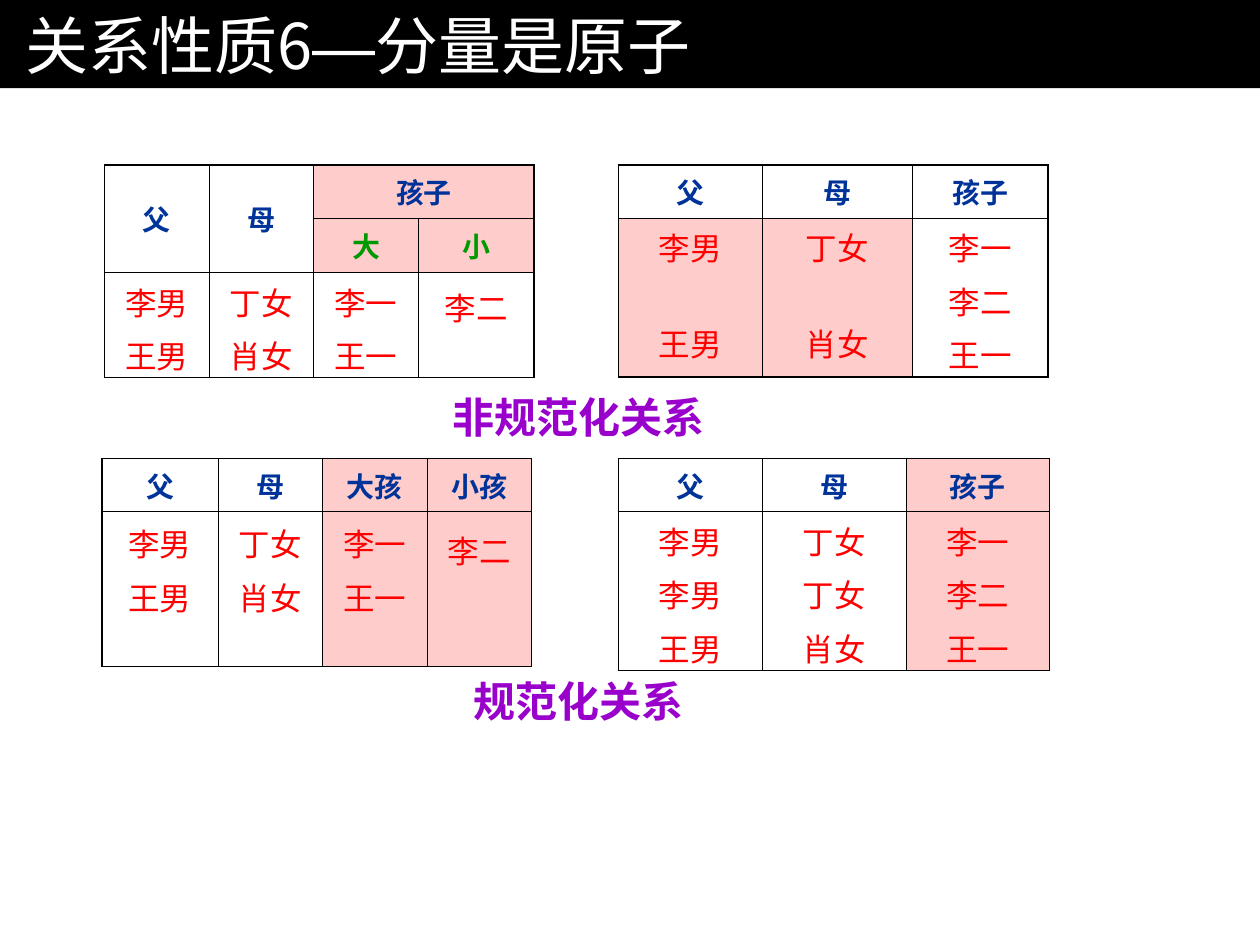
import pptx
import pptx.dml.color
import pptx.enum.text
import pptx.oxml
import pptx.oxml.ns
import pptx.util
from pptx.util import Inches

COLORS = {
    "black": "000000", "white": "FFFFFF", "pink": "FFCCCC", "header": "003399",
    "child": "009900", "value": "FF0000", "caption": "9900CC",
}
FONT = "Roboto"
TITLE_FONT = "Noto Sans CJK SC"
OUTER, INNER = 1.08, 0.45


def rgb(name):
    return pptx.dml.color.RGBColor.from_string(COLORS[name])


def add_run(paragraph, text, size, color, bold=False, font=FONT):
    run = paragraph.add_run()
    run.text = text
    run.font.size = pptx.util.Pt(size)
    run.font.bold = bold
    run.font.name = font
    run.font.color.rgb = rgb(color)
    return run


def set_margins(frame, horizontal, vertical):
    frame.margin_left = frame.margin_right = Inches(horizontal)
    frame.margin_top = frame.margin_bottom = Inches(vertical)


def add_title(slide, box, parts):
    title = slide.shapes.title
    title.left, title.top, title.width, title.height = map(Inches, box)
    title.fill.solid()
    title.fill.fore_color.rgb = rgb("black")
    frame = title.text_frame
    frame.auto_size = pptx.enum.text.MSO_AUTO_SIZE.NONE
    frame.vertical_anchor = pptx.enum.text.MSO_ANCHOR.MIDDLE
    set_margins(frame, 0.2, 0.05)
    paragraph = frame.paragraphs[0]
    paragraph.alignment = pptx.enum.text.PP_ALIGN.LEFT
    for text, font in parts:
        run = add_run(paragraph, text, 36, "white", font=font)
        properties = run.font._element
        east_asian = pptx.oxml.parse_xml(
            f'<a:ea {pptx.oxml.ns.nsdecls("a")} typeface="{TITLE_FONT}"/>')
        properties.append(east_asian)


def set_borders(cell, widths):
    properties = cell._tc.get_or_add_tcPr()
    for side, width in zip("LRTB", widths):
        properties.append(pptx.oxml.parse_xml(
            f'<a:ln{side} {pptx.oxml.ns.nsdecls("a")} w="{round(width * 12700)}">'
            f'<a:solidFill><a:srgbClr val="{COLORS["black"]}"/></a:solidFill>'
            f'</a:ln{side}>'))


def fill_cell(cell, lines, color, bold, size, space, gap):
    for index, text in enumerate(lines):
        frame = cell.text_frame
        paragraph = frame.paragraphs[0] if index == 0 else frame.add_paragraph()
        paragraph.alignment = pptx.enum.text.PP_ALIGN.CENTER
        paragraph.space_before = pptx.util.Pt(gap if index else space)
        add_run(paragraph, text, size, color, bold)


def add_relation(slide, box, columns, rows, headers, values, shaded,
                 merges=(), top_margins=None, gaps=None):
    table = slide.shapes.add_table(len(rows), len(columns), *map(Inches, box)).table
    table.first_row = table.horz_banding = False
    for column, width in zip(table.columns, columns):
        column.width = Inches(width)
    for row, height in zip(table.rows, rows):
        row.height = Inches(height)
    for first, last in merges:
        table.cell(*first).merge(table.cell(*last))

    last_row, last_column = len(rows) - 1, len(columns) - 1
    for r in range(len(rows)):
        for c in range(len(columns)):
            cell = table.cell(r, c)
            right = c + (cell.span_width if cell.is_merge_origin else 1) - 1
            set_borders(cell, [OUTER if edge else INNER for edge in
                               (c == 0, right == last_column, r == 0, r == last_row)])
            if (r, c) in shaded:
                cell.fill.solid()
                cell.fill.fore_color.rgb = rgb("pink")
            else:
                cell.fill.background()
            set_margins(cell, 0.1, 0.05)
            cell.vertical_anchor = pptx.enum.text.MSO_ANCHOR.MIDDLE
            if r < last_row:
                if headers[r][c]:
                    fill_cell(cell, [headers[r][c]], "child" if r else "header",
                              True, 16, 4, 4)
            else:
                cell.vertical_anchor = pptx.enum.text.MSO_ANCHOR.TOP
                cell.margin_top = Inches(top_margins[c] if top_margins else 0.05)
                cell.margin_bottom = 0
                fill_cell(cell, values[c], "value", False, 18, 4.5,
                          gaps[c] if gaps else 4.5)


def add_caption(slide, box, text):
    frame = slide.shapes.add_textbox(*map(Inches, box)).text_frame
    frame.word_wrap = True
    set_margins(frame, 0.1, 0.05)
    paragraph = frame.paragraphs[0]
    paragraph.space_before = pptx.util.Pt(15)
    add_run(paragraph, text, 24, "caption", True)


def main():
    presentation = pptx.Presentation()
    presentation.slide_width, presentation.slide_height = Inches(10), Inches(7.5)
    slide = presentation.slides.add_slide(presentation.slide_layouts[5])

    add_title(slide, (0, 0, 10, 0.7),
              [("关系性质6", TITLE_FONT), ("—", "Arial"), ("分量是原子", TITLE_FONT)])

    fathers, mothers = ["李男", "王男"], ["丁女", "肖女"]
    elder, younger = ["李一", "王一"], ["李二"]
    children = ["李一", "李二", "王一"]
    family = ["父", "母", "孩子"]
    two_rows = (0.4, 1.23)

    add_relation(slide, (4.91, 1.31, 3.42, 1.63), (1.14, 1.19, 1.08), two_rows,
                 [family], [fathers, mothers, children], {(1, 0), (1, 1)},
                 gaps=(28.8, 28.8, 4.5))
    add_relation(slide, (0.83, 1.31, 3.42, 1.66), (0.83, 0.83, 0.83, 0.92),
                 (0.4, 0.43, 0.83), [family + [""], ["", "", "大", "小"]],
                 [fathers, mothers, elder, younger],
                 {(0, 2), (0, 3), (1, 2), (1, 3)},
                 merges=[((0, 0), (1, 0)), ((0, 1), (1, 1)), ((0, 2), (0, 3))],
                 top_margins=(0.05, 0.05, 0.05, 0.09))
    add_relation(slide, (4.91, 3.64, 3.42, 1.63), (1.14, 1.14, 1.14), two_rows,
                 [family], [["李男", *fathers], ["丁女", *mothers], children],
                 {(0, 2), (1, 2)})
    add_relation(slide, (0.81, 3.64, 3.42, 1.63), (0.92, 0.83, 0.83, 0.83), two_rows,
                 [["父", "母", "大孩", "小孩"]], [fathers, mothers, elder, younger],
                 {(0, 2), (0, 3), (1, 2), (1, 3)},
                 top_margins=(0.07, 0.07, 0.07, 0.12))

    add_caption(slide, (3.49, 3.06, 2.58, 0.5), "非规范化关系")
    add_caption(slide, (3.66, 5.31, 2.58, 0.5), "规范化关系")
    presentation.save("out.pptx")


if __name__ == "__main__":
    main()
